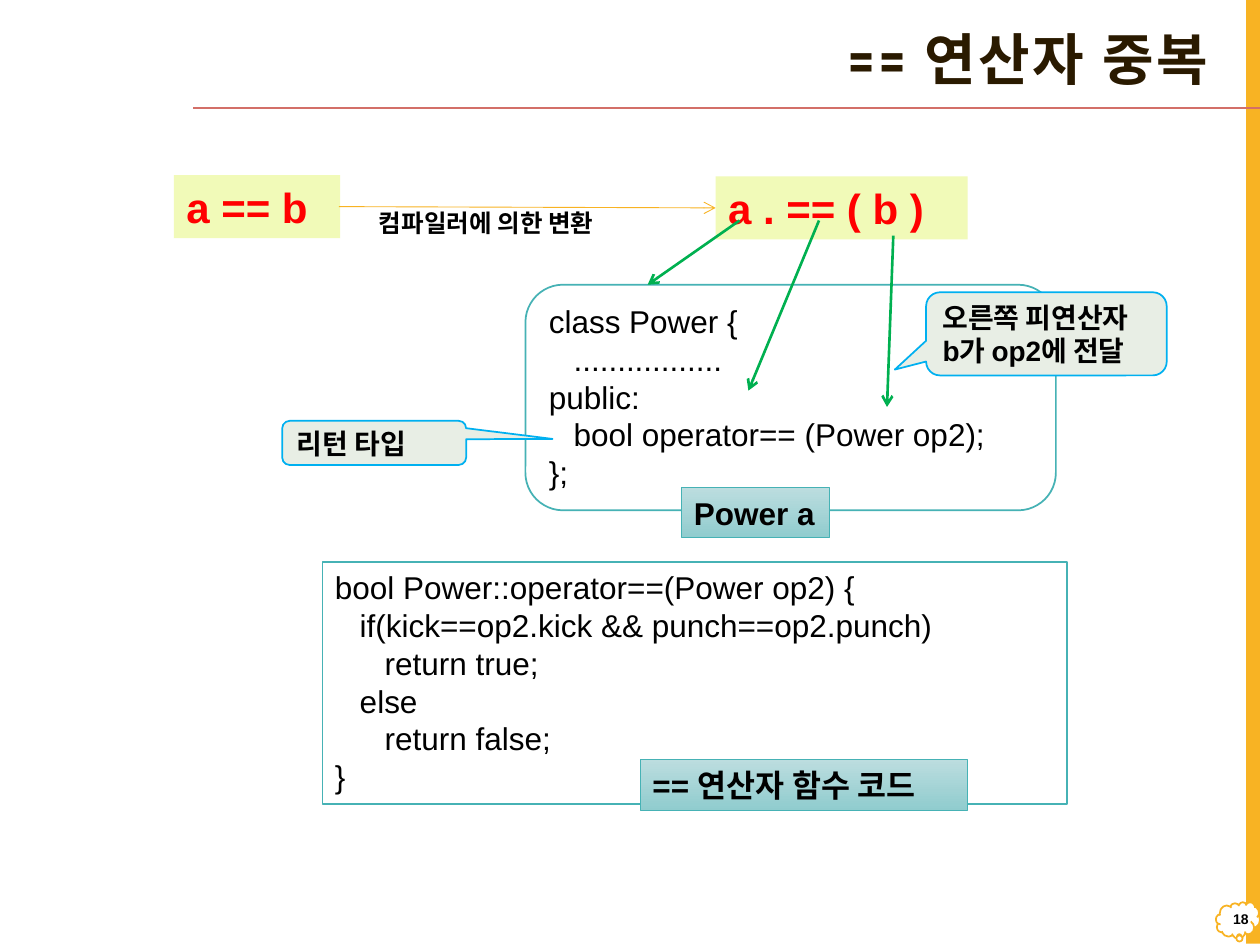
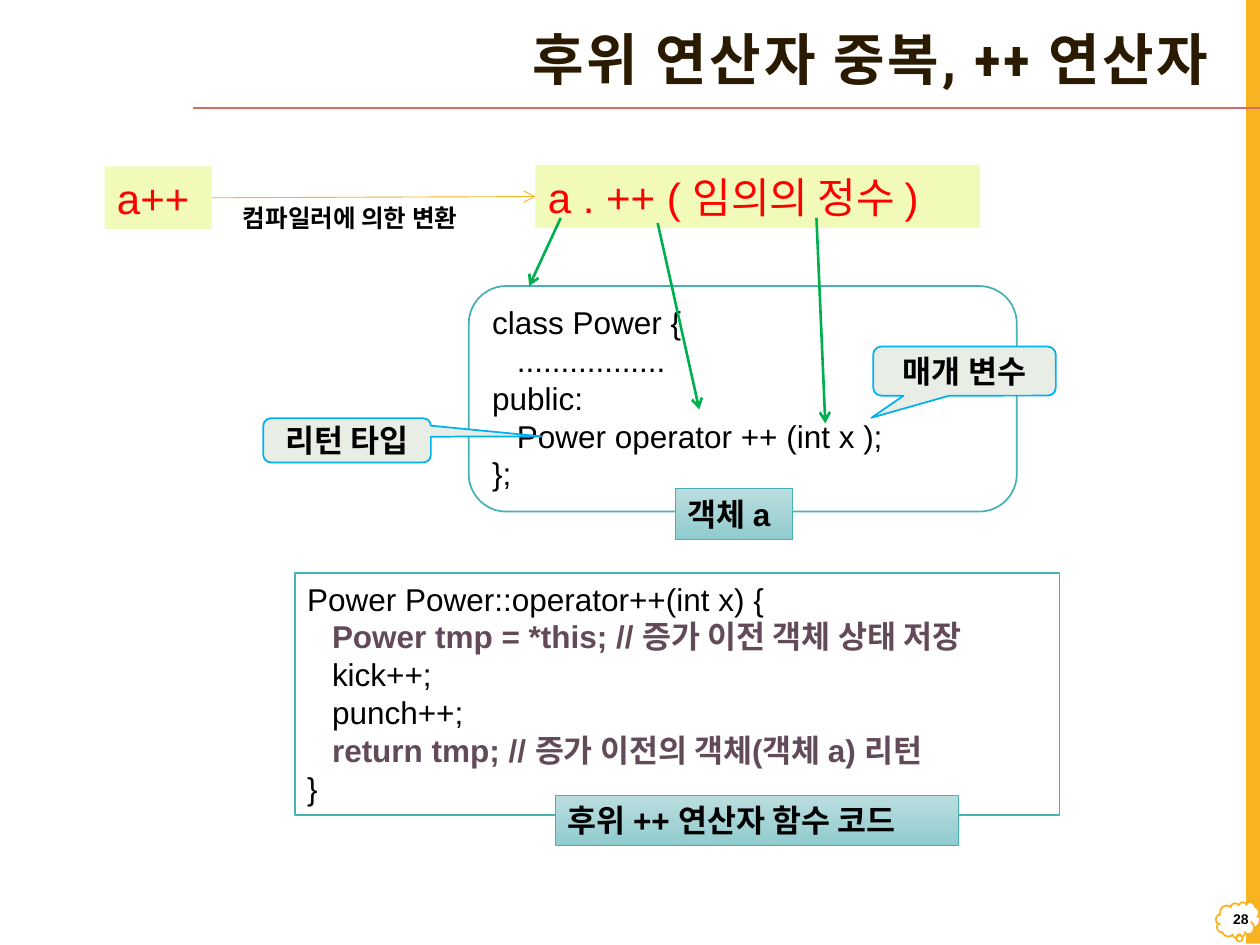
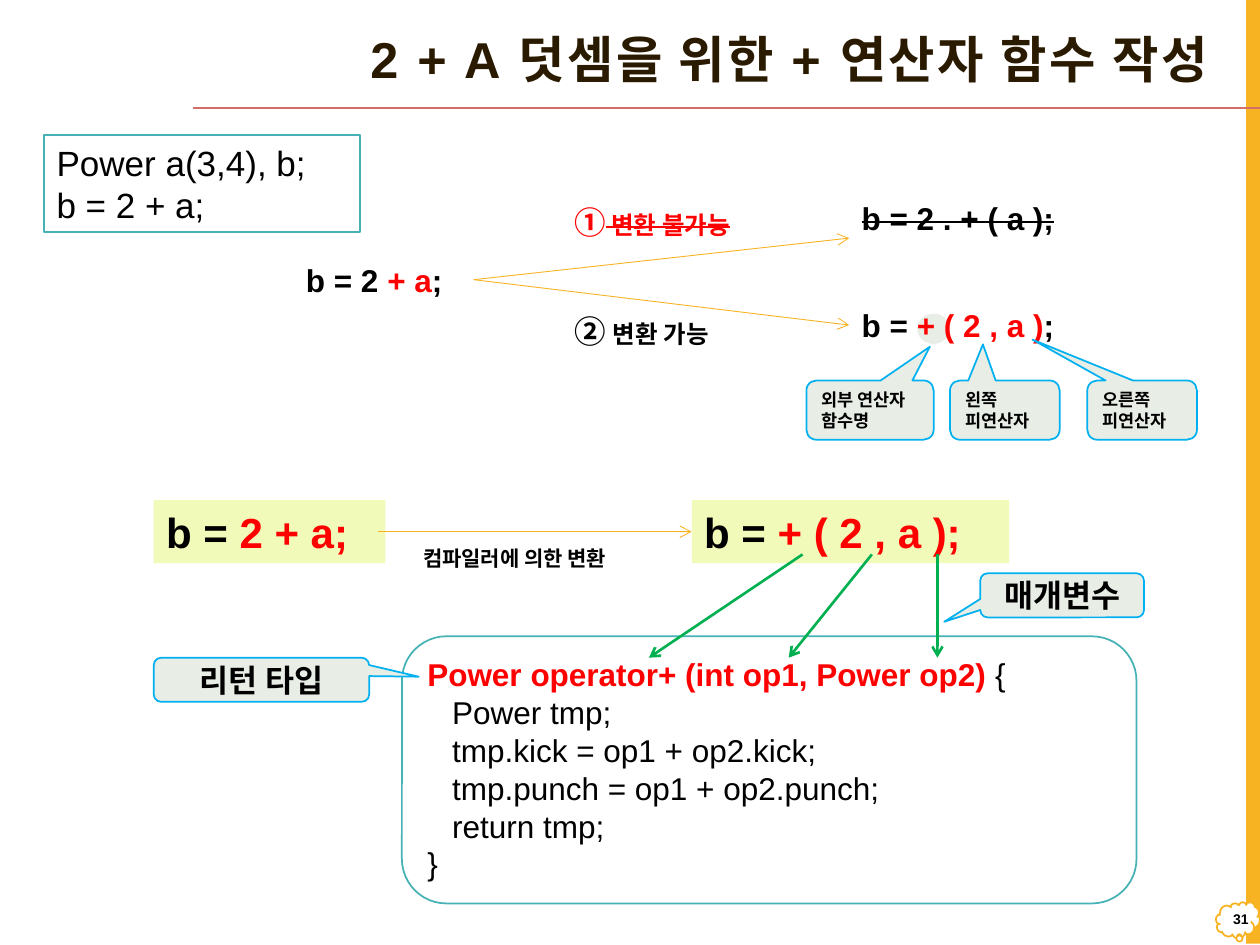
from lxml import etree
from pptx import Presentation
from pptx.dml import color as colors
from pptx.enum import shapes, text
from pptx.oxml import ns
from pptx import util as u

COLUMN = u.Inches(0.1)
COLUMNS, ROWS = 100, 75
TAB_COLUMNS = 1.97

GOLD, TEAL, SKY, GREEN = "F8B323", "46B2B5", "00B0F0", "00B050"
RED, BLACK, WHITE, PLUM = "FF0000", "000000", "FFFFFF", "624A58"
LIME, SAGE, ROSE, BROWN = "F1FAB8", "E8EEE5", "D36F68", "2A1A00"
LABEL_SHADES = "BCDDDF", "90CCCE"
LEFT, CENTER, RIGHT = (text.PP_ALIGN.LEFT, text.PP_ALIGN.CENTER,
                       text.PP_ALIGN.RIGHT)
TOP, MIDDLE = text.MSO_ANCHOR.TOP, text.MSO_ANCHOR.MIDDLE
FIT = text.MSO_AUTO_SIZE.SHAPE_TO_FIT_TEXT
FIXED = text.MSO_AUTO_SIZE.NONE
KINDS = shapes.MSO_SHAPE

BOLD = {"bold": True}
BOLD_RED = {"bold": True, "color": RED}
NOTE = {"bold": True, "color": PLUM}
CONVERSION = "컴파일러에 의한 변환"


def rgb(hex_code):
    return colors.RGBColor.from_string(hex_code)


def grid(*cells):
    return [int(cell * COLUMN) for cell in cells]


def add_element(parent, tag, **attributes):
    return etree.SubElement(parent, ns.qn(tag), attributes)


def add_tab_stops(paragraph):
    stops = add_element(paragraph._p.get_or_add_pPr(), "a:tabLst")
    for level in (1, 2):
        position = grid(level * TAB_COLUMNS)[0]
        add_element(stops, "a:tab", pos=str(position), algn="l")


def add_run(paragraph, words, style):
    run = paragraph.add_run()
    run.text = words
    values = {"name": style.get("name", "Arial"),
              "size": u.Pt(style.get("size", 18)),
              "bold": style.get("bold", False)}
    for attribute, value in values.items():
        setattr(run.font, attribute, value)
    run.font.color.rgb = rgb(style.get("color", BLACK))
    for attribute in ("strike", "spc"):
        if attribute in style:
            run.font._element.set(attribute, style[attribute])


def write(holder, lines, style, align=LEFT, anchor=TOP, wrap=True, fit=FIT,
          leading=None):
    frame = holder.text_frame
    values = {"word_wrap": wrap, "auto_size": fit, "vertical_anchor": anchor}
    for attribute, value in values.items():
        setattr(frame, attribute, value)
    for index, line in enumerate(lines):
        paragraph = frame.add_paragraph() if index else frame.paragraphs[0]
        runs = [(line, {})] if isinstance(line, str) else line
        if runs[0][0].startswith("\t"):
            add_tab_stops(paragraph)
        paragraph.alignment = align
        if leading:
            paragraph.line_spacing = leading
        for words, own in runs:
            add_run(paragraph, words, {**style, **own})


def add_panel(slide, kind, box, fill, outline=None, weight=1, adjust=()):
    panel = slide.shapes.add_shape(kind, *grid(*box))
    panel.shadow.inherit = False
    if isinstance(fill, tuple):
        panel.fill.gradient()
        panel.fill.gradient_angle = 270
        for stop, shade in zip(panel.fill.gradient_stops, fill):
            stop.color.rgb = rgb(shade)
    else:
        panel.fill.solid()
        panel.fill.fore_color.rgb = rgb(fill)
    if outline:
        panel.line.color.rgb = rgb(outline)
        panel.line.width = u.Pt(weight)
    else:
        panel.line.fill.background()
    for index, value in enumerate(adjust):
        panel.adjustments[index] = value
    return panel


def add_line(slide, start, end, color, weight, arrow=True):
    line = slide.shapes.add_connector(shapes.MSO_CONNECTOR.STRAIGHT,
                                      *grid(*start, *end))
    line.line.color.rgb = rgb(color)
    line.line.width = u.Pt(weight)
    properties = line.element.spPr
    if arrow:
        add_element(properties.find(ns.qn("a:ln")), "a:tailEnd", type="arrow")
    add_element(properties, "a:effectLst")


def add_words(slide, box, lines, style, **layout):
    write(slide.shapes.add_textbox(*grid(*box)), lines, style, **layout)


def add_code(slide, box, lines, kind=KINDS.RECTANGLE, size=18):
    write(add_panel(slide, kind, box, WHITE, TEAL), lines, {"size": size})


def add_class(slide, box, member):
    add_code(slide, box, ["class Power {", "\t.................", "public:",
                          "\t" + member, "};"], KINDS.ROUNDED_RECTANGLE)


def add_expression(slide, box, line, style):
    panel = add_panel(slide, KINDS.RECTANGLE, box, LIME)
    write(panel, [line], {"size": 24, **style}, wrap=False)


def add_label(slide, box, words):
    panel = add_panel(slide, KINDS.RECTANGLE, box, LABEL_SHADES, TEAL, 0.5)
    write(panel, [words], BOLD, wrap=False)


def add_callout(slide, box, pointer, lines, size=18, align=CENTER):
    bubble = add_panel(slide, KINDS.ROUNDED_RECTANGULAR_CALLOUT, box, SAGE,
                       SKY, adjust=pointer)
    write(bubble, lines, {"size": size, "bold": True}, align, MIDDLE,
          fit=FIXED)


def add_conversion(slide, start, end):
    add_line(slide, start, end, GOLD, 0.5)


def add_mappings(slide, *ends):
    for start, end in ends:
        add_line(slide, start, end, GREEN, 1.5)


def add_page(deck, title, number, **title_style):
    slide = deck.slides.add_slide(deck.slide_layouts[6])
    add_panel(slide, KINDS.RECTANGLE, (98.9, -0.1, 1.1, ROWS), GOLD)
    add_panel(slide, KINDS.CLOUD_CALLOUT, (96.5, 71.6, 3.5, 2.9), WHITE, GOLD,
              adjust=(0.03, 0.43))
    add_line(slide, (COLUMNS, 8.6), (15.3, 8.6), ROSE, 1, arrow=False)
    style = {"name": "Roboto Condensed", "size": 32, "bold": True,
             "color": BROWN, "spc": "150", **title_style}
    add_words(slide, (13.2, 1.3, 83.7, 7.3), [title], style, align=RIGHT,
              anchor=MIDDLE, fit=FIXED, leading=0.9)
    add_words(slide, (96.6, 71.2, 3.5, 3.5), [number],
              {"size": 8, "bold": True}, align=RIGHT, anchor=MIDDLE, fit=FIXED)
    return slide


def build_equality(deck):
    slide = add_page(deck, "== 연산자 중복", "18")
    add_class(slide, (41.7, 22.6, 42.1, 17.9), "bool operator== (Power op2);")
    add_code(slide, (25.6, 44.6, 59.1, 19.2), [
        "bool Power::operator==(Power op2) {",
        "\tif(kick==op2.kick && punch==op2.punch)",
        "\t\treturn true;",
        "\telse",
        "\t\treturn false;",
        "}"])
    add_expression(slide, (13.8, 13.9, 13.2, 5), "a == b", BOLD_RED)
    add_expression(slide, (56.8, 14, 20, 5), "a . == ( b )", BOLD_RED)
    add_conversion(slide, (26.9, 16.4), (56.8, 16.5))
    add_words(slide, (29.1, 16, 22.3, 3.4), [CONVERSION],
              {"size": 14, "bold": True})
    add_label(slide, (54.1, 38.7, 11.7, 4), "Power a")
    add_mappings(slide, ((70.9, 18.7), (70.4, 32.3)),
                 ((65, 17.5), (59.4, 31)), ((58.7, 17.5), (51.4, 22.6)))
    add_callout(slide, (22.4, 33.4, 14.6, 3.5), (0.97, -0.09), ["리턴 타입"],
                16, LEFT)
    add_callout(slide, (73.5, 23.2, 19.1, 6.6), (-0.63, 0.43),
                ["오른쪽 피연산자", "b가 op2에 전달"], 16, LEFT)
    add_label(slide, (50.8, 60.3, 26, 4), "== 연산자 함수 코드")


def build_postfix(deck):
    slide = add_page(deck, "후위 연산자 중복, ++ 연산자", "28")
    add_code(slide, (23.4, 45.5, 60.7, 19.2), [
        "Power Power::operator++(int x) {",
        [("\t", {}), ("Power tmp = *this; // 증가 이전 객체 상태 저장", NOTE)],
        "\tkick++;",
        "\tpunch++;",
        [("\t", {}), ("return tmp; // 증가 이전의 객체(객체 a) 리턴", NOTE)],
        "}"])
    add_class(slide, (37.2, 22.7, 43.5, 17.9), "Power operator ++ (int x );")
    add_expression(slide, (8.3, 13.2, 8.5, 5), "a++", {"color": RED})
    add_expression(slide, (42.5, 13.1, 35.3, 5), "a . ++ ( 임의의 정수 )",
                   {"color": RED})
    add_conversion(slide, (16.8, 15.7), (42.5, 15.6))
    add_words(slide, (18.3, 15.6, 22.6, 3.4), [CONVERSION],
              {"size": 14, "bold": True})
    add_label(slide, (53.6, 38.8, 9.3, 4), "객체 a")
    add_mappings(slide, ((52.2, 17.7), (55.5, 32.5)),
                 ((44.5, 17.3), (42, 22.7)))
    add_callout(slide, (20.9, 33.2, 13.3, 3.5), (1.16, -0.09), ["리턴 타입"])
    add_callout(slide, (69.3, 27.5, 14.5, 3.9), (-0.51, 0.95), ["매개 변수"])
    add_mappings(slide, ((64.8, 17.3), (65.5, 33.6)))
    add_label(slide, (44.1, 63.1, 32, 4), "후위 ++ 연산자 함수 코드")


def build_addition(deck):
    slide = add_page(deck, "2 + A 덧셈을 위한 + 연산자 함수 작성", "31",
                     name="Arial", size=28.8)
    add_panel(slide, KINDS.OVAL, (72.8, 24.9, 2.6, 2.4), SAGE)
    add_words(slide, (67.4, 15.3, 18.1, 7.1), ["b = 2 . + ( a );"],
              {"bold": True, "strike": "sngStrike"})
    add_words(slide, (23.3, 20.2, 14.3, 4),
              [[("b = 2 ", {}), ("+ a", BOLD_RED), (";", {})]], BOLD,
              wrap=False)
    add_words(slide, (67.4, 23.8, 19.4, 4),
              [[("b = ", {}), ("+ ( 2 , a )", BOLD_RED), (";", {})]], BOLD)
    for row in (18.9, 25.8):
        add_conversion(slide, (37.6, 22.2), (67.4, row))
    add_words(slide, (44.6, 15.6, 15.4, 4),
              [[("①", {}),
                (" 변환 불가능", {"size": 14, "strike": "sngStrike"})]],
              BOLD_RED, wrap=False)
    add_words(slide, (44.6, 24.3, 13.7, 4),
              [[("② ", {}), ("변환 가능", {"size": 14})]], BOLD, wrap=False)
    for left, width, pointer, lines in (
            (64, 10.1, (0.47, -1.07), ["외부 연산자 함수명"]),
            (75.4, 8.7, (-0.2, -1.11), ["왼쪽", "피연산자"]),
            (86.3, 8.7, (-1, -1.19), ["오른쪽", "피연산자"])):
        add_callout(slide, (left, 30.2, width, 4.7), pointer, lines, 10, LEFT)
    add_code(slide, (3.5, 10.7, 25.1, 7.7), ["Power a(3,4), b;", "b = 2 + a;"],
             size=20)
    add_code(slide, (31.9, 50.5, 58.3, 21.2), [
        [("Power operator+ (int op1, Power op2)", BOLD_RED), (" {", {})],
        "\tPower tmp;",
        "\ttmp.kick = op1 + op2.kick;",
        "\ttmp.punch = op1 + op2.punch;",
        "\treturn tmp;",
        "}"], KINDS.ROUNDED_RECTANGLE)
    for left, width, operation in ((12.2, 18.4, "2 + a;"),
                                   (54.9, 25.2, "+ ( 2 , a );")):
        add_expression(slide, (left, 39.7, width, 5),
                       [("b = ", {}), (operation, BOLD_RED)], BOLD)
    add_conversion(slide, (30, 42.2), (54.9, 42.2))
    add_callout(slide, (12.2, 52.2, 17.1, 3.5), (0.73, -0.07), ["리턴 타입"])
    add_callout(slide, (77.8, 45.5, 13, 3.5), (-0.72, 0.6), ["매개변수"])
    add_mappings(slide, *(((start, 44), (end, 52.2)) for start, end in
                          ((63.7, 51.5), (69.2, 62.6), (74.4, 74.4))))
    add_words(slide, (32.6, 42.8, 20.6, 3), [CONVERSION],
              {"size": 12, "bold": True})


def main():
    deck = Presentation()
    deck.slide_width, deck.slide_height = grid(COLUMNS, ROWS)
    for build in (build_equality, build_postfix, build_addition):
        build(deck)
    deck.save("out.pptx")


if __name__ == "__main__":
    main()
